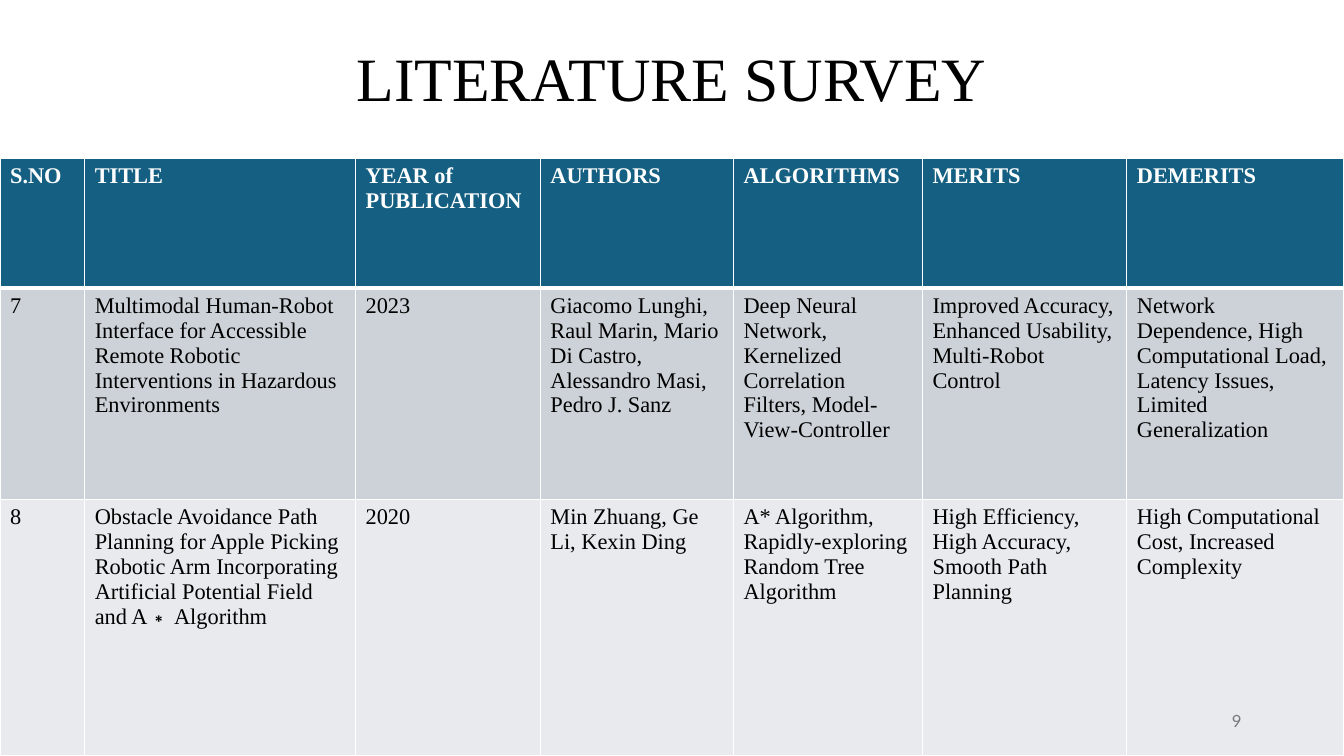
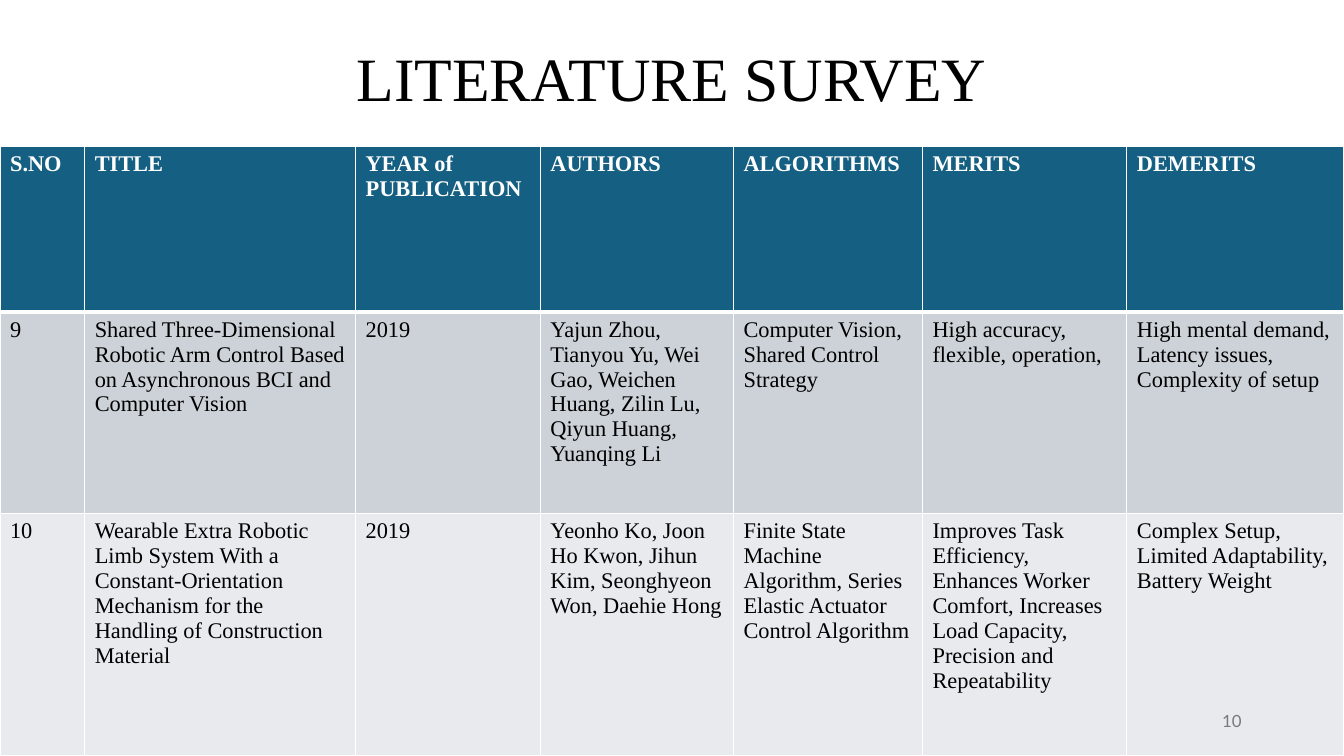
import pptx
import pptx.dml.color
import pptx.enum.text
import pptx.oxml
import pptx.oxml.ns
import pptx.util

Pt = pptx.util.Pt
ALIGN = pptx.enum.text.PP_ALIGN
ANCHOR = pptx.enum.text.MSO_ANCHOR

COLORS = {
    "title": "000000",
    "header": "156082",
    "header_text": "FFFFFF",
    "odd_row": "CCD2D8",
    "even_row": "E8EAED",
    "body_text": "000000",
    "border": "FFFFFF",
    "page_number": "797979",
}
SERIF, SANS = "Times New Roman", "Lato"
SLIDE_WIDTH, SLIDE_HEIGHT = 960, 540

COLUMNS = [
    ("S.NO", 60.5),
    ("TITLE", 193.5),
    ("YEAR of PUBLICATION", 132),
    ("AUTHORS", 138),
    ("ALGORITHMS", 135),
    ("MERITS", 146),
    ("DEMERITS", 155),
]

SURVEY_PAGES = [
    {
        "number": 9,
        "row_heights": [93, 151, 183],
        "papers": [
            ("7",
             "Multimodal Human-Robot Interface for Accessible Remote Robotic "
             "Interventions in Hazardous Environments",
             "2023",
             "Giacomo Lunghi, Raul Marin, Mario Di Castro, Alessandro Masi, Pedro J. Sanz",
             "Deep Neural Network, Kernelized Correlation Filters, Model-View-Controller",
             "Improved Accuracy, Enhanced Usability, Multi-Robot Control",
             "Network Dependence, High Computational Load, Latency Issues, "
             "Limited Generalization"),
            ("8",
             "Obstacle Avoidance Path Planning for Apple Picking Robotic Arm "
             "Incorporating Artificial Potential Field and A∗ Algorithm",
             "2020",
             "Min Zhuang, Ge Li, Kexin Ding",
             "A* Algorithm, Rapidly-exploring Random Tree Algorithm",
             "High Efficiency, High Accuracy, Smooth Path Planning",
             "High Computational Cost, Increased Complexity"),
        ],
    },
    {
        "number": 10,
        "row_heights": [118.5, 144, 173],
        "papers": [
            ("9",
             "Shared Three-Dimensional Robotic Arm Control Based on Asynchronous BCI "
             "and Computer Vision",
             "2019",
             "Yajun Zhou, Tianyou Yu, Wei Gao, Weichen Huang, Zilin Lu, Qiyun Huang, "
             "Yuanqing Li",
             "Computer Vision, Shared Control Strategy",
             "High accuracy, flexible, operation,",
             "High mental demand, Latency issues, Complexity of setup"),
            ("10",
             "Wearable Extra Robotic Limb System With a Constant-Orientation Mechanism "
             "for the Handling of Construction Material",
             "2019",
             "Yeonho Ko, Joon Ho Kwon, Jihun Kim, Seonghyeon Won, Daehie Hong",
             "Finite State Machine Algorithm, Series Elastic Actuator Control Algorithm",
             "Improves Task Efficiency, Enhances Worker Comfort, Increases Load Capacity, "
             "Precision and Repeatability",
             "Complex Setup, Limited Adaptability, Battery Weight"),
        ],
    },
]


def rgb(role):
    return pptx.dml.color.RGBColor.from_string(COLORS[role])


def set_font(paragraph, family, size, role, bold=False):
    font = paragraph.font
    font.name, font.size, font.bold = family, Pt(size), bold
    font.color.rgb = rgb(role)


def add_text(slide, text, box, family, size, role, align, anchor):
    frame = slide.shapes.add_textbox(*map(Pt, box)).text_frame
    frame.word_wrap = True
    frame.vertical_anchor = anchor
    paragraph = frame.paragraphs[0]
    paragraph.text = text
    paragraph.alignment = align
    set_font(paragraph, family, size, role)
    return frame


def add_title(slide, text):
    frame = add_text(slide, text, (66, 29, 828, 104), SERIF, 44, "title",
                     ALIGN.CENTER, ANCHOR.TOP)
    frame.margin_top = Pt(5.5)
    frame.paragraphs[0].line_spacing = 0.9


def add_page_number(slide, number):
    add_text(slide, str(number), (678, 500.5, 216, 29), SANS, 12, "page_number",
             ALIGN.RIGHT, ANCHOR.MIDDLE)


def set_borders(cell, top, bottom):
    """Draw the four cell borders; the side borders are 1 pt wide."""
    properties = cell._tc.get_or_add_tcPr()
    for side, width in (("L", 1), ("R", 1), ("T", top), ("B", bottom)):
        properties.append(pptx.oxml.parse_xml(
            f'<a:ln{side} {pptx.oxml.ns.nsdecls("a")} w="{Pt(width)}">'
            f'<a:solidFill><a:srgbClr val="{COLORS["border"]}"/></a:solidFill>'
            f'</a:ln{side}>'))


def fill_row(row, texts, fill, text_role, bold, top, bottom):
    for cell, text in zip(row.cells, texts):
        set_borders(cell, top, bottom)
        cell.fill.solid()
        cell.fill.fore_color.rgb = rgb(fill)
        cell.text = text
        set_font(cell.text_frame.paragraphs[0], SERIF, 16, text_role, bold)


def add_survey_table(slide, papers, row_heights):
    """Place the table so that it ends at the bottom of the slide."""
    height = sum(row_heights)
    table = slide.shapes.add_table(
        len(row_heights), len(COLUMNS), Pt(0), Pt(SLIDE_HEIGHT - height),
        Pt(SLIDE_WIDTH), Pt(height)).table
    table.horz_banding = False
    for column, (_, width) in zip(table.columns, COLUMNS):
        column.width = Pt(width)
    for row, row_height in zip(table.rows, row_heights):
        row.height = Pt(row_height)

    headings = [heading for heading, _ in COLUMNS]
    fill_row(table.rows[0], headings, "header", "header_text", True, 1, 3)
    for index, paper in enumerate(papers, start=1):
        fill_row(table.rows[index], paper, "odd_row" if index % 2 else "even_row",
                 "body_text", False, 3 if index == 1 else 1, 1)


def main():
    deck = pptx.Presentation()
    deck.slide_width, deck.slide_height = Pt(SLIDE_WIDTH), Pt(SLIDE_HEIGHT)
    blank = deck.slide_layouts[6]
    for page in SURVEY_PAGES:
        slide = deck.slides.add_slide(blank)
        add_title(slide, "LITERATURE SURVEY")
        add_survey_table(slide, page["papers"], page["row_heights"])
        add_page_number(slide, page["number"])
    deck.save("out.pptx")


if __name__ == "__main__":
    main()
